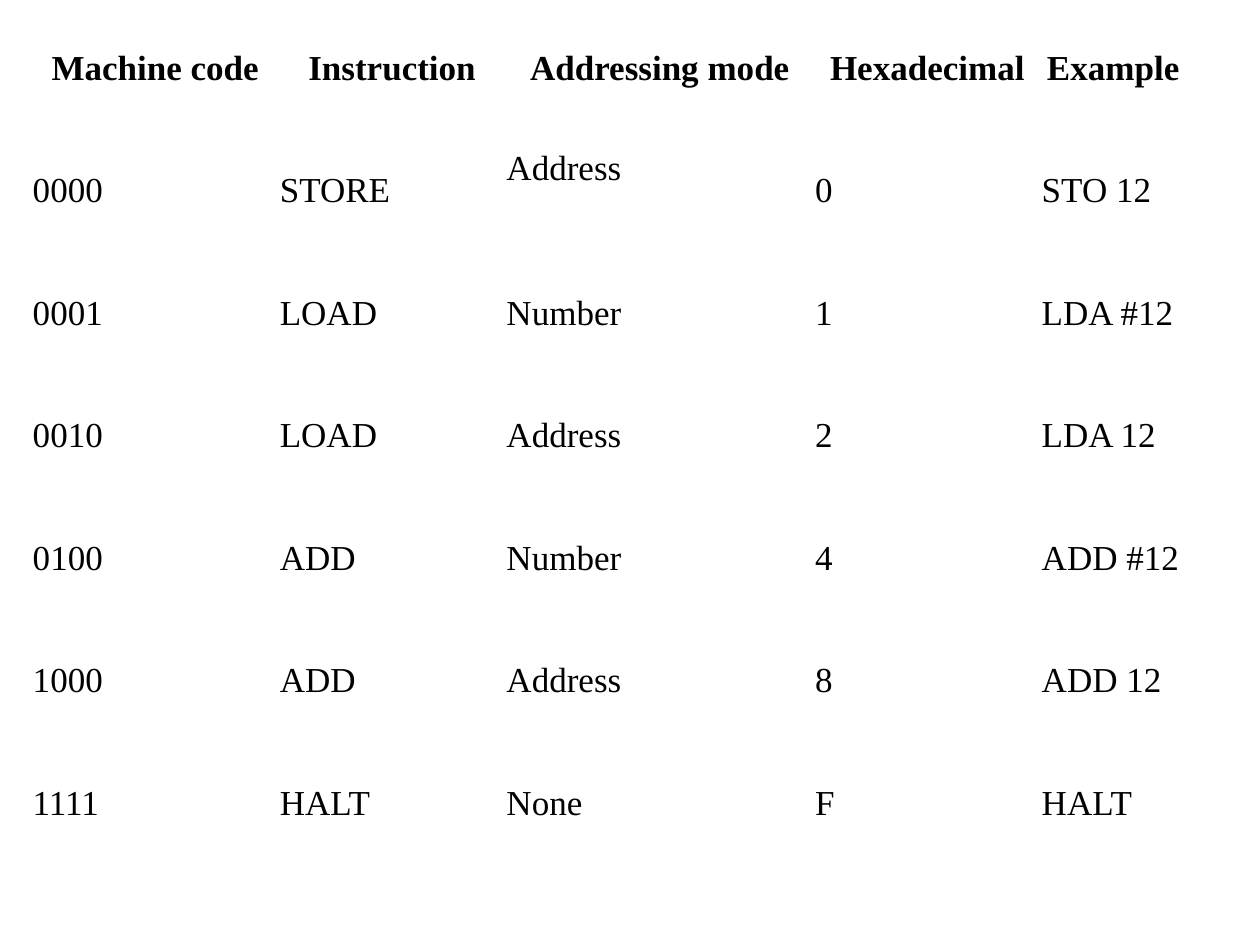
"""Build a slide with a table of machine code instructions."""
import dataclasses

import pptx
import pptx.dml.color
import pptx.enum.text
import pptx.util

Cm = pptx.util.Cm
Pt = pptx.util.Pt
ALIGN = pptx.enum.text.PP_ALIGN


@dataclasses.dataclass(frozen=True)
class Theme:
    font: str = "Times New Roman"
    size: float = 20
    color: str = "000000"
    line_spacing: float = 1.15
    gap: float = 5


THEME = Theme()
COL_WIDTHS = [4.98, 4.57, 6.22, 4.57, 2.92]
ROW_HEIGHT = 2.47
SIDE_MARGIN = 0.02
RAISED_CELL = (1, 2)
RAISED_MARGIN = 0.89
ROWS = [
    ["Machine code", "Instruction", "Addressing mode", "Hexadecimal", "Example"],
    ["0000", "STORE", "Address", "0", "STO 12"],
    ["0001", "LOAD", "Number", "1", "LDA #12"],
    ["0010", "LOAD", "Address", "2", "LDA 12"],
    ["0100", "ADD", "Number", "4", "ADD #12"],
    ["1000", "ADD", "Address", "8", "ADD 12"],
    ["1111", "HALT", "None", "F", "HALT"],
]


def write_text(tf, text, bold=False, align=ALIGN.LEFT):
    p = tf.paragraphs[0]
    p.alignment = align
    p.line_spacing = THEME.line_spacing
    p.space_before = p.space_after = Pt(THEME.gap)
    r = p.add_run()
    r.text = text
    r.font.name = THEME.font
    r.font.size = Pt(THEME.size)
    r.font.bold = bold
    r.font.color.rgb = pptx.dml.color.RGBColor.from_string(THEME.color)


def format_cell(cell, bottom=0):
    cell.fill.background()
    cell.vertical_anchor = pptx.enum.text.MSO_ANCHOR.MIDDLE
    cell.margin_left = cell.margin_right = Cm(SIDE_MARGIN)
    cell.margin_top = Cm(0)
    cell.margin_bottom = Cm(bottom)


def add_instruction_table(s, left, top):
    sp = s.shapes.add_table(
        len(ROWS), len(COL_WIDTHS), Cm(left), Cm(top),
        Cm(sum(COL_WIDTHS)), Cm(ROW_HEIGHT * len(ROWS)))
    table = sp.table
    table.first_row = table.horz_banding = False
    for col, width in zip(table.columns, COL_WIDTHS):
        col.width = Cm(width)
    for i, texts in enumerate(ROWS):
        table.rows[i].height = Cm(ROW_HEIGHT)
        header = i == 0
        for j, text in enumerate(texts):
            cell = table.cell(i, j)
            format_cell(cell, RAISED_MARGIN if (i, j) == RAISED_CELL else 0)
            write_text(cell.text_frame, text, bold=header,
                       align=ALIGN.CENTER if header else ALIGN.LEFT)


def main():
    prs = pptx.Presentation()
    prs.slide_width, prs.slide_height = Cm(25.4), Cm(19.05)
    s = prs.slides.add_slide(prs.slide_layouts[6])
    add_instruction_table(s, 0.64, 0.08)
    prs.save("out.pptx")


if __name__ == "__main__":
    main()
